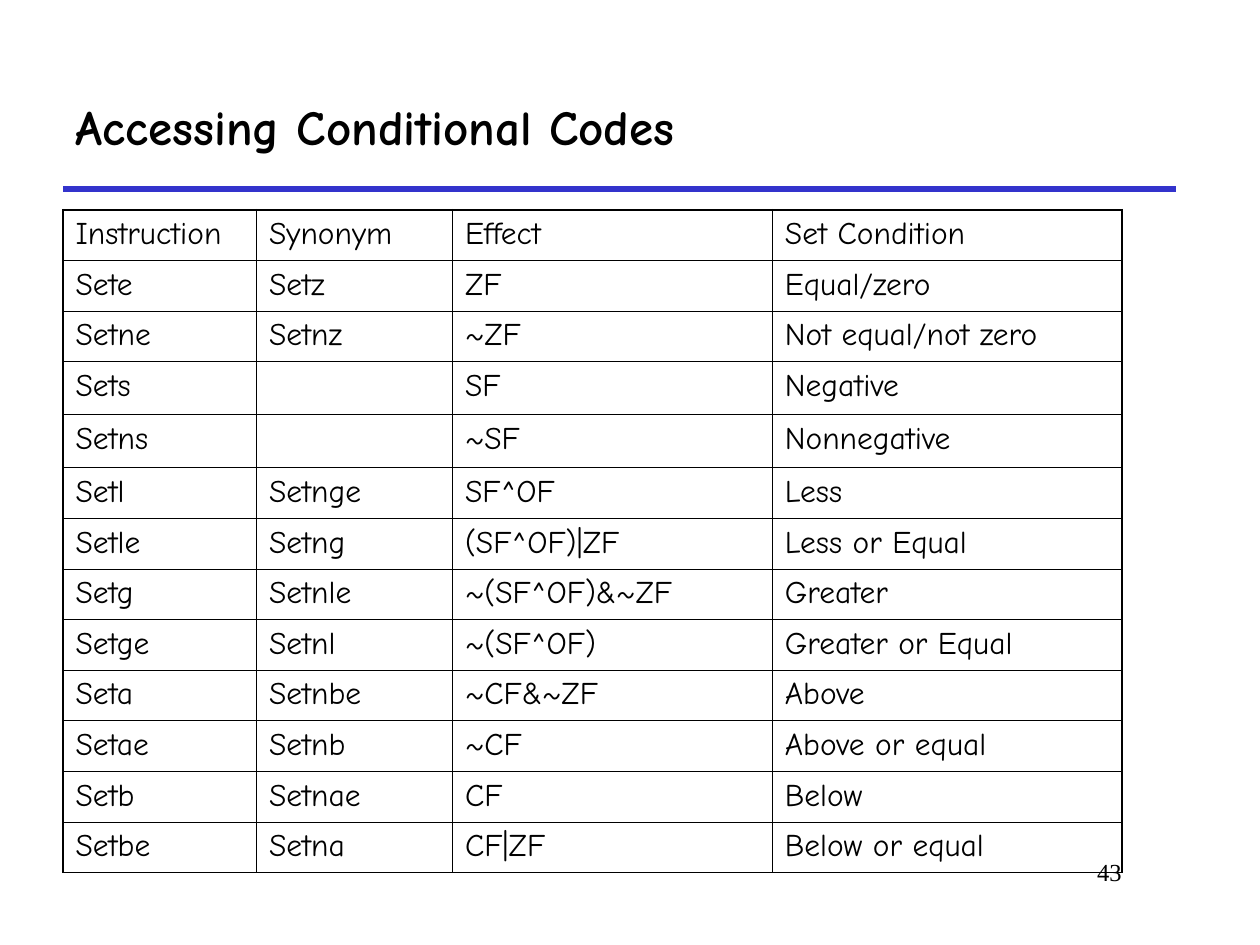
from dataclasses import dataclass

import pptx
import pptx.dml.color
import pptx.enum.shapes
import pptx.enum.text
import pptx.oxml
import pptx.oxml.ns
import pptx.util
from pptx.util import Cm

COLORS = {"text": "000000", "rule": "3333CC", "grid": "000000"}
BODY_FONT = "Comic Neue"
NUMBER_FONT = "Times New Roman"
OUTER_BORDER, INNER_BORDER = 1.08, 0.45
ROW_HEIGHT, BLANK_ROW_HEIGHT = Cm(1.02), Cm(1.07)
COLUMN_WIDTHS = [Cm(3.9), Cm(3.95), Cm(6.45), Cm(7.05)]


@dataclass
class SetInstruction:
    name: str
    synonym: str
    effect: str
    condition: str

    def texts(self) -> list[str]:
        return [self.name, self.synonym, self.effect, self.condition]


INSTRUCTIONS = [
    SetInstruction("Instruction", "Synonym", "Effect", "Set Condition"),
    SetInstruction("Sete", "Setz", "ZF", "Equal/zero"),
    SetInstruction("Setne", "Setnz", "~ZF", "Not equal/not zero"),
    SetInstruction("Sets", "", "SF", "Negative"),
    SetInstruction("Setns", "", "~SF", "Nonnegative"),
    SetInstruction("Setl", "Setnge", "SF^OF", "Less"),
    SetInstruction("Setle", "Setng", "(SF^OF)|ZF", "Less or Equal"),
    SetInstruction("Setg", "Setnle", "~(SF^OF)&~ZF", "Greater"),
    SetInstruction("Setge", "Setnl", "~(SF^OF)", "Greater or Equal"),
    SetInstruction("Seta", "Setnbe", "~CF&~ZF", "Above"),
    SetInstruction("Setae", "Setnb", "~CF", "Above or equal"),
    SetInstruction("Setb", "Setnae", "CF", "Below"),
    SetInstruction("Setbe", "Setna", "CF|ZF", "Below or equal"),
]


def rgb(name: str) -> pptx.dml.color.RGBColor:
    return pptx.dml.color.RGBColor.from_string(COLORS[name])


def write(frame, text: str, *, size: float, font: str = BODY_FONT, bold: bool = False,
          align=pptx.enum.text.PP_ALIGN.LEFT) -> None:
    paragraph = frame.paragraphs[0]
    paragraph.alignment = align
    if not text:
        return
    run = paragraph.add_run()
    run.text = text
    run.font.size = pptx.util.Pt(size)
    run.font.name = font
    run.font.bold = bold
    run.font.color.rgb = rgb("text")


def set_borders(cell, widths: dict[str, float]) -> None:
    properties = cell._tc.get_or_add_tcPr()
    for position, (side, width) in enumerate(widths.items()):
        border = pptx.oxml.parse_xml(
            f'<a:{side} {pptx.oxml.ns.nsdecls("a")} w="{int(pptx.util.Pt(width))}">'
            f'<a:solidFill><a:srgbClr val="{COLORS["grid"]}"/></a:solidFill></a:{side}>'
        )
        properties.insert(position, border)


def add_rule(slide) -> None:
    rule = slide.shapes.add_connector(
        pptx.enum.shapes.MSO_CONNECTOR.STRAIGHT, Cm(1.27), Cm(3.81), Cm(23.7), Cm(3.81))
    rule.line.color.rgb = rgb("rule")
    rule.line.width = pptx.util.Pt(3)
    rule._element.spPr.append(
        pptx.oxml.parse_xml(f'<a:effectLst {pptx.oxml.ns.nsdecls("a")}/>'))


def add_page_number(slide, number: str) -> None:
    page_number = slide.shapes.add_textbox(Cm(19.25), Cm(17.15), Cm(3.61), Cm(1.27))
    page_number.text_frame.word_wrap = True
    write(page_number.text_frame, number, size=14, font=NUMBER_FONT,
          align=pptx.enum.text.PP_ALIGN.RIGHT)


def add_title(slide, text: str) -> None:
    title = slide.shapes.title
    title.left, title.top, title.width, title.height = Cm(1.27), Cm(1.27), Cm(22.43), Cm(2.54)
    title.text_frame.vertical_anchor = pptx.enum.text.MSO_ANCHOR.MIDDLE
    write(title.text_frame, text, size=28, bold=True)


def add_instruction_table(slide, instructions: list[SetInstruction]) -> None:
    heights = [ROW_HEIGHT if item.synonym else BLANK_ROW_HEIGHT for item in instructions]
    table = slide.shapes.add_table(
        len(instructions), len(COLUMN_WIDTHS), Cm(1.27), Cm(4.23),
        sum(COLUMN_WIDTHS), sum(heights)).table
    table.first_row = False
    table.horz_banding = False
    for column, width in zip(table.columns, COLUMN_WIDTHS):
        column.width = width
    last_row, last_column = len(instructions) - 1, len(COLUMN_WIDTHS) - 1
    for r, (item, height) in enumerate(zip(instructions, heights)):
        table.rows[r].height = height
        for c, text in enumerate(item.texts()):
            cell = table.cell(r, c)
            cell.fill.background()
            write(cell.text_frame, text, size=18)
            on_edge = {"lnL": c == 0, "lnR": c == last_column,
                       "lnT": r == 0, "lnB": r == last_row}
            set_borders(cell, {side: OUTER_BORDER if outer else INNER_BORDER
                               for side, outer in on_edge.items()})


def main() -> None:
    presentation = pptx.Presentation()
    presentation.slide_width, presentation.slide_height = Cm(25.4), Cm(19.05)
    slide = presentation.slides.add_slide(presentation.slide_layouts[5])
    add_rule(slide)
    add_page_number(slide, "43")
    add_title(slide, "Accessing Conditional Codes")
    add_instruction_table(slide, INSTRUCTIONS)
    presentation.save("out.pptx")


if __name__ == "__main__":
    main()
